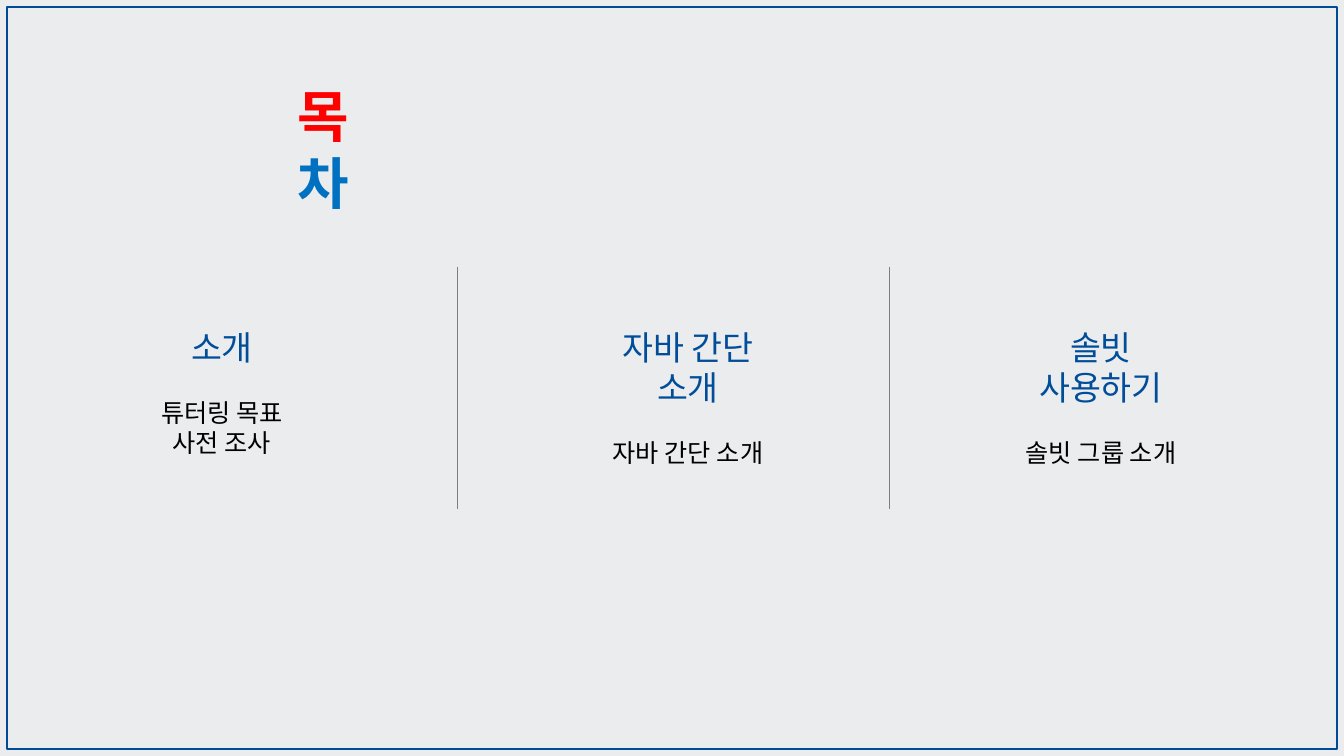
from lxml.etree import SubElement
from pptx import Presentation
from pptx.dml.color import RGBColor
from pptx.enum.shapes import MSO_CONNECTOR, MSO_SHAPE
from pptx.enum.text import MSO_AUTO_SIZE, PP_ALIGN
from pptx.oxml.ns import qn
from pptx.util import Emu, Pt

FONT = "Noto Sans CJK KR"
SLIDE_WIDTH, SLIDE_HEIGHT = 1344, 756
HEADING_SIZE, TOPIC_SIZE = 48, 36
COLUMN_TOP, COLUMN_WIDTH = 324, 202
COLUMNS = [
    (121, 138, "소개", ["튜터링 목표", "사전 조사"]),
    (587, 107, "자바 간단 소개", ["자바 간단 소개"]),
    (1000, 107, "솔빗 사용하기", ["솔빗 그룹 소개"]),
]


def px(length):
    return Emu(round(length * 914400 / 50.4))


def color(value):
    return RGBColor.from_string(value)


def format_run(run, size, run_color, bold=False):
    run.font.name = FONT
    run.font.size = Pt(size)
    run.font.bold = bold
    run.font.color.rgb = color(run_color)
    # Korean text takes its typeface from the East Asian font
    SubElement(run.font._element, qn("a:ea"), typeface=FONT)


def add_text_frame(slide, left, top, width, height):
    box = slide.shapes.add_textbox(px(left), px(top), px(width), px(height))
    text_frame = box.text_frame
    text_frame.word_wrap = True
    text_frame.auto_size = MSO_AUTO_SIZE.SHAPE_TO_FIT_TEXT
    return text_frame


def add_frame(slide, left, top, width, height):
    frame = slide.shapes.add_shape(
        MSO_SHAPE.RECTANGLE, px(left), px(top), px(width), px(height))
    frame.shadow.inherit = False
    frame.fill.background()
    frame.line.color.rgb = color("004B96")
    frame.line.width = Pt(2.47)


def add_title(slide, left, top, width, height):
    paragraph = add_text_frame(slide, left, top, width, height).paragraphs[0]
    paragraph.alignment = PP_ALIGN.CENTER
    for letter, letter_color in (("목", "FF0000"), ("차", "0070C0")):
        run = paragraph.add_run()
        run.text = letter
        format_run(run, 80, letter_color, bold=True)


def add_column(slide, left, top, width, height, heading, topics):
    text_frame = add_text_frame(slide, left, top, width, height)
    text_frame.text = "\n".join([heading, *topics])
    for index, paragraph in enumerate(text_frame.paragraphs):
        paragraph.alignment = PP_ALIGN.CENTER
        if index == 0:
            format_run(paragraph.runs[0], HEADING_SIZE, "004D99")
        else:
            format_run(paragraph.runs[0], TOPIC_SIZE, "000000")
    # One topic line of space between heading and topics
    text_frame.paragraphs[1].space_before = Pt(43)


def add_divider(slide, left, top, height):
    divider = slide.shapes.add_connector(
        MSO_CONNECTOR.STRAIGHT, px(left), px(top), px(left), px(top + height))
    divider.line.color.rgb = color("7F7F7F")
    divider.line.width = Pt(0.75)
    SubElement(divider._element.spPr, qn("a:effectLst"))


def main():
    presentation = Presentation()
    presentation.slide_width = px(SLIDE_WIDTH)
    presentation.slide_height = px(SLIDE_HEIGHT)
    slide = presentation.slides.add_slide(presentation.slide_layouts[6])
    slide.background.fill.solid()
    slide.background.fill.fore_color.rgb = color("EBECEE")

    # Border and title
    add_frame(slide, 7, 7, SLIDE_WIDTH - 14, SLIDE_HEIGHT - 14)
    add_title(slide, 284, 79, 79, 73)

    # Contents columns with dividers between them
    for left, height, heading, topics in COLUMNS:
        add_column(slide, left, COLUMN_TOP, COLUMN_WIDTH, height, heading, topics)
    for left in (457, 889):
        add_divider(slide, left, 267, 242)

    presentation.save("out.pptx")


if __name__ == "__main__":
    main()
